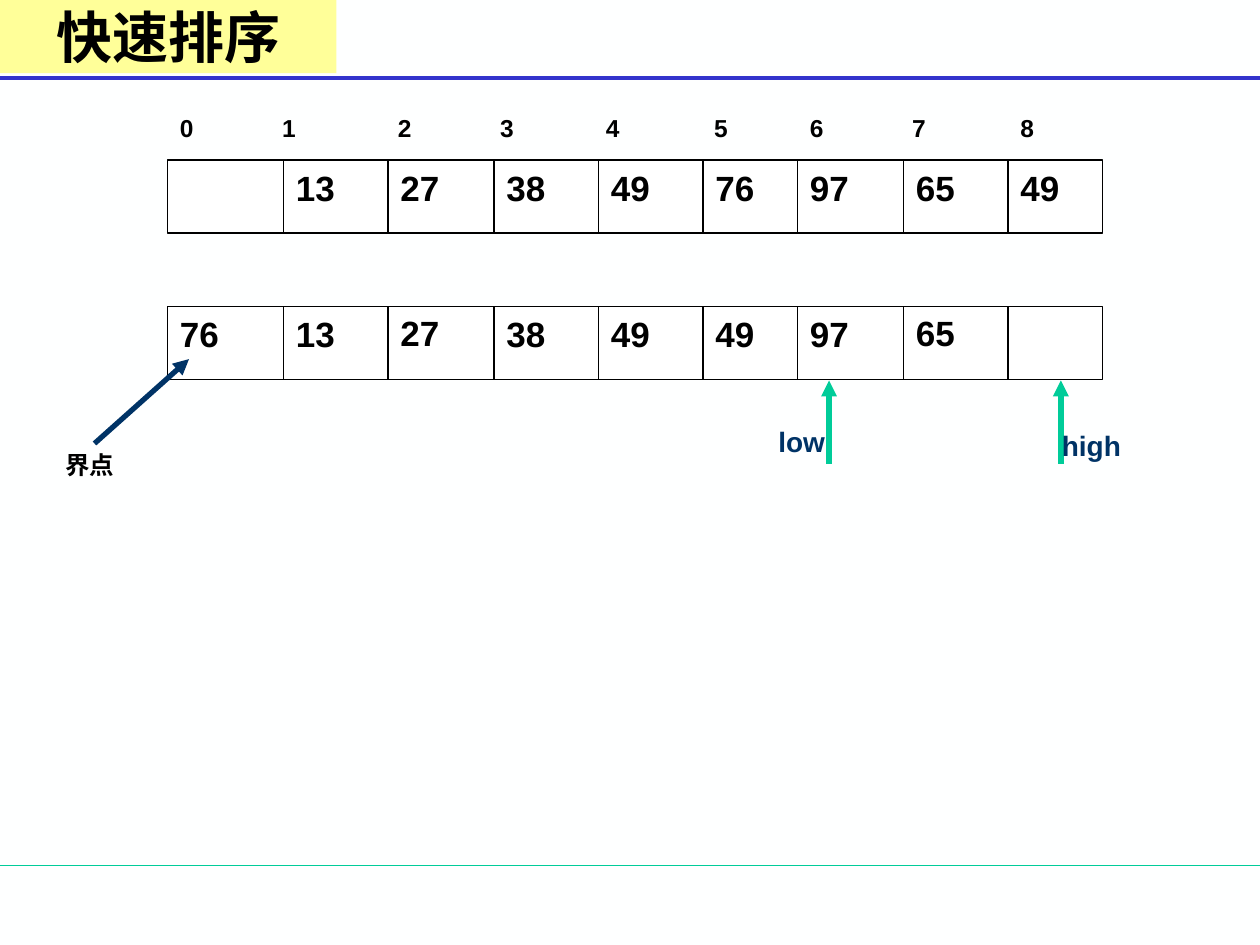
from lxml import etree
from pptx import Presentation
from pptx.dml.color import RGBColor
from pptx.enum.shapes import MSO_CONNECTOR, MSO_SHAPE
from pptx.enum.text import MSO_ANCHOR, MSO_AUTO_SIZE, PP_ALIGN
from pptx.oxml.ns import qn
from pptx.util import Inches, Pt

COLORS = {
    "background": "FEFFFF",
    "title": "FFFF99",
    "header_rule": "3333CC",
    "green": "00CC99",
    "navy": "003366",
    "black": "000000",
    "white": "FFFFFF",
}
ARRAY_LEFT, ARRAY_WIDTH, ARRAY_HEIGHT = 1.33, 7.42, 0.58
CELL_LEFTS = [1.33, 2.25, 3.08, 3.92, 4.75, 5.58, 6.33, 7.17, 8]
INDEX_TABS = [0.81, 1.73, 2.54, 3.38, 4.24, 5, 5.81, 6.67]


def color(name):
    return RGBColor.from_string(COLORS[name])


def add_line(shapes, start, end, color_name, width, arrow=False):
    line = shapes.add_connector(
        MSO_CONNECTOR.STRAIGHT, *(Inches(value) for value in (*start, *end)))
    line.line.color.rgb = color(color_name)
    line.line.width = Pt(width)
    if arrow:
        line_properties = line.line._get_or_add_ln()
        etree.SubElement(line_properties, qn("a:tailEnd"), type="triangle")
    etree.SubElement(line._element.spPr, qn("a:effectLst"))
    return line


def add_label(shapes, text, box, size, color_name="black", tabs=()):
    label = shapes.add_textbox(*(Inches(value) for value in box))
    frame = label.text_frame
    frame.word_wrap = True
    paragraph = frame.paragraphs[0]
    paragraph.text = text
    if tabs:
        tab_list = etree.SubElement(
            paragraph._element.get_or_add_pPr(), qn("a:tabLst"))
        for position in tabs:
            etree.SubElement(tab_list, qn("a:tab"),
                             pos=str(Inches(position)), algn="l")
    style_font(paragraph.font, "Arial", size, color_name)


def style_font(font, name, size, color_name):
    font.name = name
    font.size = Pt(size)
    font.bold = True
    font.color.rgb = color(color_name)


def add_title(slide, text, left, top, width, height):
    title = slide.shapes.title
    title.left, title.top = Inches(left), Inches(top)
    title.width, title.height = Inches(width), Inches(height)
    title.fill.solid()
    title.fill.fore_color.rgb = color("title")
    frame = title.text_frame
    frame.auto_size = MSO_AUTO_SIZE.NONE
    frame.vertical_anchor = MSO_ANCHOR.MIDDLE
    paragraph = frame.paragraphs[0]
    paragraph.text = text
    paragraph.alignment = PP_ALIGN.CENTER
    style_font(paragraph.font, "Times New Roman", 32, "black")


def add_array(slide, top, values, raised=()):
    """Draw a divided row; cells listed in raised sit slightly higher."""
    group = slide.shapes.add_group_shape()
    frame = group.shapes.add_shape(
        MSO_SHAPE.RECTANGLE, Inches(ARRAY_LEFT), Inches(top),
        Inches(ARRAY_WIDTH), Inches(ARRAY_HEIGHT))
    frame.shadow.inherit = False
    frame.fill.solid()
    frame.fill.fore_color.rgb = color("white")
    frame.line.color.rgb = color("black")
    frame.line.width = Pt(0.75)
    for left in CELL_LEFTS[1:]:
        add_line(group.shapes, (left, top), (left, top + ARRAY_HEIGHT),
                 "black", 0.75)
    for index, (left, value) in enumerate(zip(CELL_LEFTS, values)):
        if value:
            text_top = top - 0.01 if index in raised else top
            add_label(slide.shapes, value, (left, text_top, 0.67, 0.44), 20)


def add_pointer(slide, text, x, label_left, label_top):
    group = slide.shapes.add_group_shape()
    add_line(group.shapes, (x, 3.68), (x, 3.02), "green", 3, arrow=True)
    add_label(group.shapes, text, (label_left, label_top, 0.92, 0.37),
              16, "navy")


def main():
    presentation = Presentation()
    presentation.slide_width = Inches(10)
    presentation.slide_height = Inches(7.5)
    slide = presentation.slides.add_slide(presentation.slide_layouts[5])
    slide.background.fill.solid()
    slide.background.fill.fore_color.rgb = color("background")

    # Page rules and title
    add_line(slide.shapes, (0, 6.87), (10, 6.87), "green", 0.75)
    add_line(slide.shapes, (0, 0.62), (10, 0.62), "header_rule", 2.25)
    add_title(slide, "快速排序", 0, 0, 2.67, 0.58)

    # Indices and the array before and after the swap
    add_label(slide.shapes, "\t".join(str(index) for index in range(9)),
              (ARRAY_LEFT, 0.85, ARRAY_WIDTH, 0.34), 14, tabs=INDEX_TABS)
    add_array(slide, 1.27,
              ["", "13", "27", "38", "49", "76", "97", "65", "49"])
    add_array(slide, 2.43,
              ["76", "13", "27", "38", "49", "49", "97", "65", ""],
              raised=(2, 7))

    # Scan pointers
    add_pointer(slide, "low", 6.58, 6.08, 3.32)
    add_pointer(slide, "high", 8.42, 8.33, 3.35)

    # Pivot
    add_label(slide.shapes, "界点", (0.42, 3.52, 0.83, 0.34), 14)
    add_line(slide.shapes, (0.75, 3.52), (1.5, 2.85), "navy", 3, arrow=True)

    presentation.save("out.pptx")


if __name__ == "__main__":
    main()
